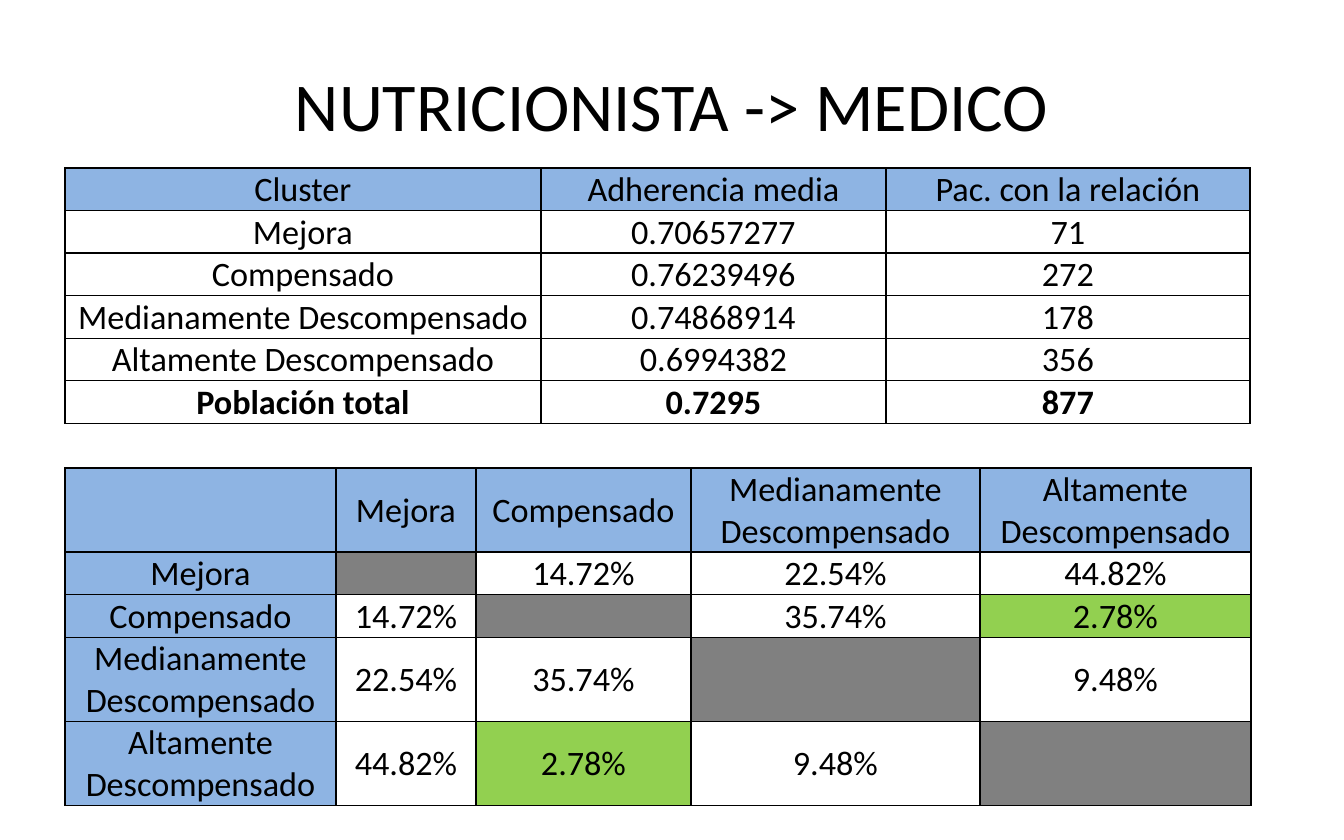
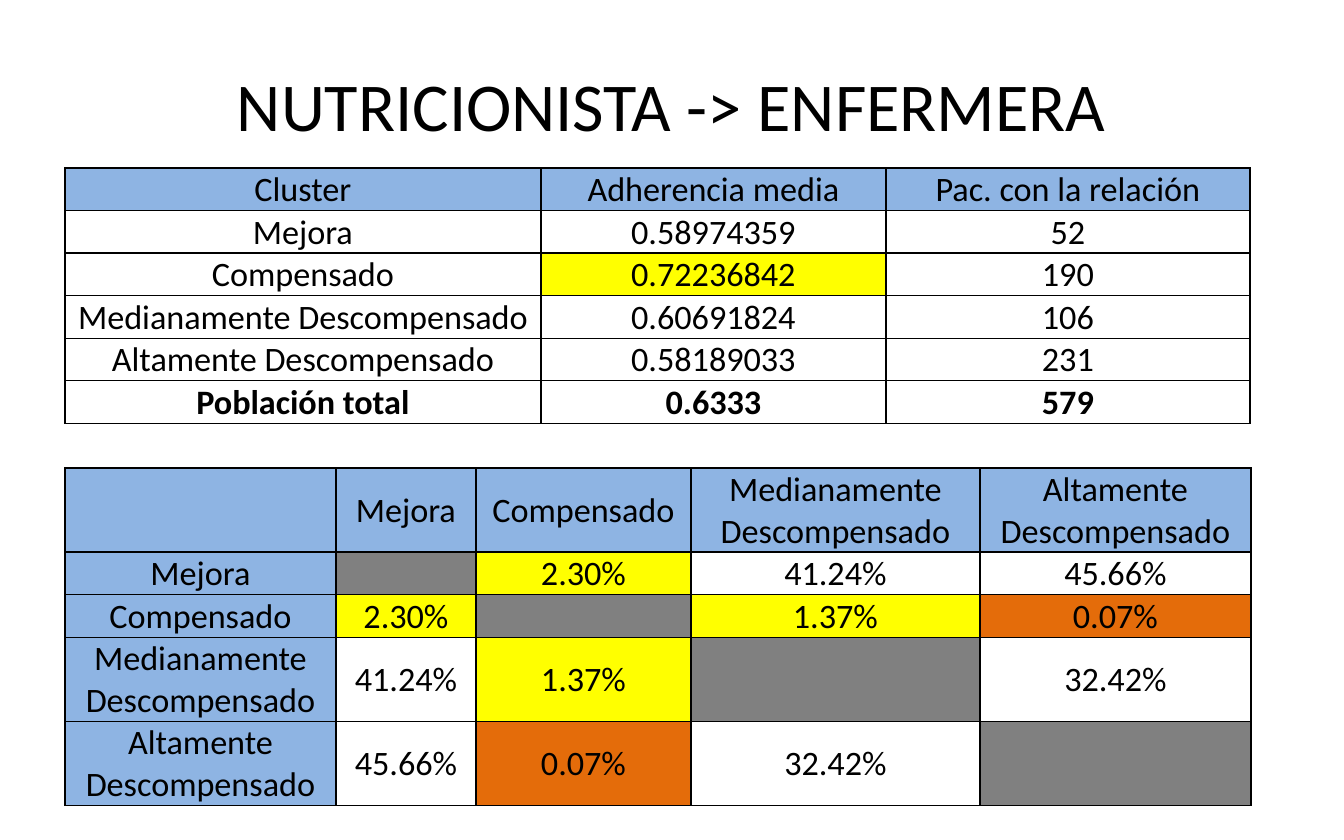
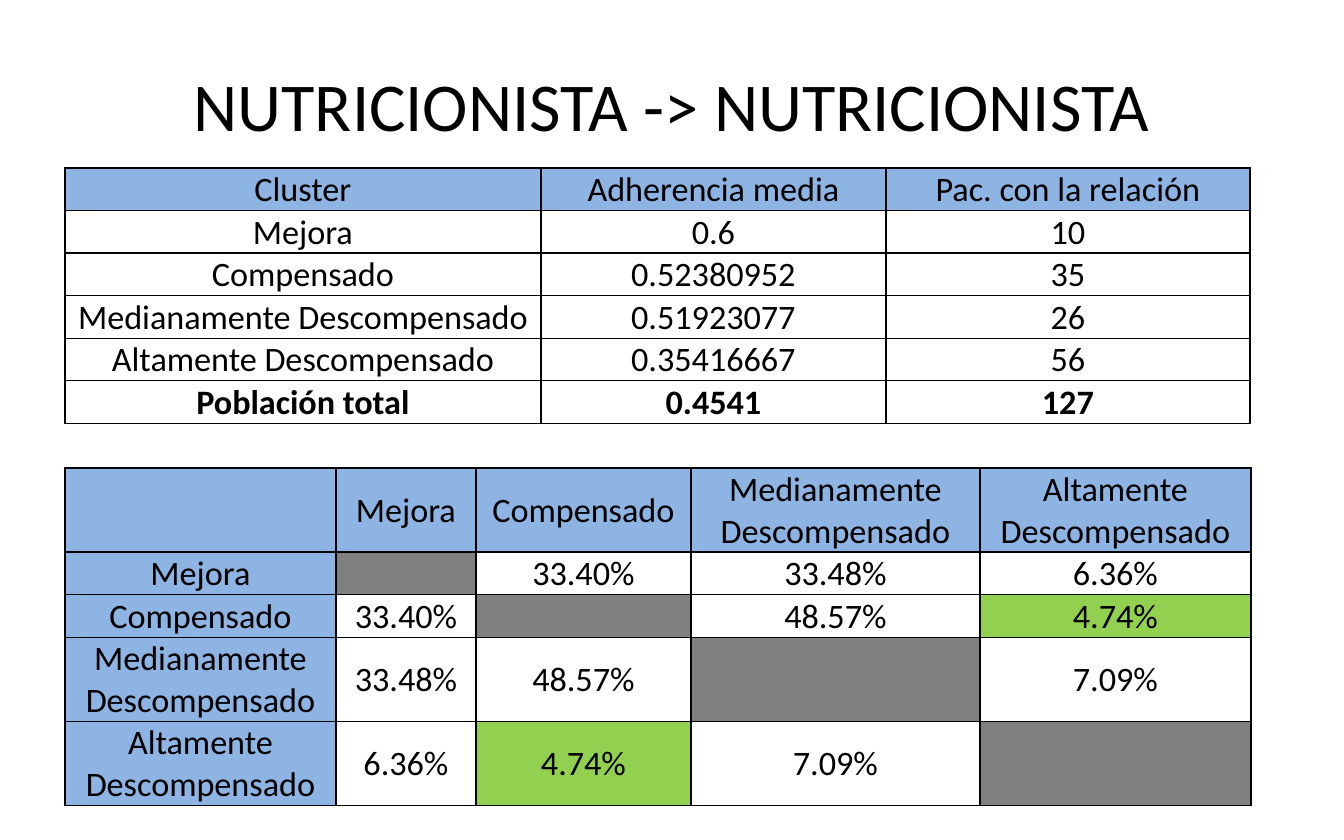
from itertools import combinations

from lxml import etree
from pptx import Presentation
from pptx.dml.color import RGBColor
from pptx.enum import text
from pptx.oxml import ns
from pptx.util import Inches, Pt

# Shared style
FONT = "Calibri"
BLACK = RGBColor(0x00, 0x00, 0x00)
WHITE = RGBColor(0xFF, 0xFF, 0xFF)
BLUE = RGBColor(0x8E, 0xB4, 0xE3)
GRAY = RGBColor(0x80, 0x80, 0x80)
GREEN = RGBColor(0x92, 0xD0, 0x50)
YELLOW = RGBColor(0xFF, 0xFF, 0x00)
ORANGE = RGBColor(0xE4, 0x6C, 0x0A)

TABLE_LEFT = 0.58
LINE, TWO_LINES = 0.38, 0.75
SUMMARY_COLUMNS = [4.25, 3.08, 3.25]
SUMMARY_ROWS = [LINE] * 6
MATRIX_COLUMNS = [2.42, 1.25, 1.92, 2.58, 2.42]
MATRIX_ROWS = [TWO_LINES, LINE, LINE, TWO_LINES, TWO_LINES]

# Shared wording
SUMMARY_HEADER = ["Cluster", "Adherencia media", "Pac. con la relación"]
CLUSTERS = ["Mejora", "Compensado", "Medianamente Descompensado",
            "Altamente Descompensado"]
SUMMARY_LABELS = CLUSTERS + ["Población total"]

# Percentages run over the cluster pairs in order; highlights map a value to its fill
RELATIONS = [
    {
        "target": "MEDICO",
        "adherence": ["0.70657277", "0.76239496", "0.74868914", "0.6994382", "0.7295"],
        "patients": ["71", "272", "178", "356", "877"],
        "percentages": ["14.72%", "22.54%", "44.82%", "35.74%", "2.78%", "9.48%"],
        "highlights": {"2.78%": GREEN},
    },
    {
        "target": "ENFERMERA",
        "adherence": ["0.58974359", "0.72236842", "0.60691824", "0.58189033", "0.6333"],
        "patients": ["52", "190", "106", "231", "579"],
        "percentages": ["2.30%", "41.24%", "45.66%", "1.37%", "0.07%", "32.42%"],
        "highlights": {"0.72236842": YELLOW, "2.30%": YELLOW, "1.37%": YELLOW,
                       "0.07%": ORANGE},
    },
    {
        "target": "NUTRICIONISTA",
        "adherence": ["0.6", "0.52380952", "0.51923077", "0.35416667", "0.4541"],
        "patients": ["10", "35", "26", "56", "127"],
        "percentages": ["33.40%", "33.48%", "6.36%", "48.57%", "4.74%", "7.09%"],
        "highlights": {"4.74%": GREEN},
    },
]


def add_span(para, wording, size, bold=False):
    para.alignment = text.PP_ALIGN.CENTER
    span = para.add_run()
    span.text = wording
    span.font.name = FONT
    span.font.size = Pt(size)
    span.font.bold = bold
    span.font.color.rgb = BLACK


def add_grid(page, top, widths, heights, wording, fills, bold_row=None):
    frame = page.shapes.add_table(
        len(heights), len(widths), Inches(TABLE_LEFT), Inches(top),
        Inches(sum(widths)), Inches(sum(heights)))
    table = frame.table
    for column, width in zip(table.columns, widths):
        column.width = Inches(width)
    for row, height in zip(table.rows, heights):
        row.height = Inches(height)
    for r, line in enumerate(wording):
        for c, content in enumerate(line):
            cell = table.cell(r, c)
            cell.margin_left = cell.margin_right = cell.margin_top = Inches(0.01)
            cell.margin_bottom = 0
            cell.vertical_anchor = text.MSO_ANCHOR.MIDDLE
            if content:
                add_span(cell.text_frame.paragraphs[0], content, 22, r == bold_row)
            # Borders come before the fill in the cell properties
            properties = cell._tc.get_or_add_tcPr()
            for side in ("a:lnL", "a:lnR", "a:lnT", "a:lnB"):
                border = etree.SubElement(properties, ns.qn(side), w=str(Pt(1)))
                solid = etree.SubElement(border, ns.qn("a:solidFill"))
                etree.SubElement(solid, ns.qn("a:srgbClr"), val=str(BLACK))
            cell.fill.solid()
            cell.fill.fore_color.rgb = fills[r][c]


deck = Presentation()
deck.slide_width, deck.slide_height = Inches(12), Inches(7.5)

for relation in RELATIONS:
    page = deck.slides.add_slide(deck.slide_layouts[6])
    highlights = relation["highlights"]

    # Title
    box = page.shapes.add_textbox(Inches(0.6), Inches(0.3), Inches(10.8), Inches(1.25))
    box.text_frame.word_wrap = True
    box.text_frame.vertical_anchor = text.MSO_ANCHOR.MIDDLE
    add_span(box.text_frame.paragraphs[0], "NUTRICIONISTA -> " + relation["target"], 44)

    # Matrix of cluster pairs, mirrored across a gray diagonal
    size = len(CLUSTERS)
    matrix = [[""] + CLUSTERS] + [[name] + [""] * size for name in CLUSTERS]
    pairs = combinations(range(1, size + 1), 2)
    for (first, second), percentage in zip(pairs, relation["percentages"]):
        matrix[first][second] = matrix[second][first] = percentage
    fills = [[BLUE if r == 0 or c == 0 else GRAY if r == c
              else highlights.get(content, WHITE)
              for c, content in enumerate(line)] for r, line in enumerate(matrix)]
    add_grid(page, 4.18, MATRIX_COLUMNS, MATRIX_ROWS, matrix, fills)

    # Summary by cluster
    summary = [SUMMARY_HEADER] + list(
        zip(SUMMARY_LABELS, relation["adherence"], relation["patients"]))
    fills = [[BLUE if r == 0 else highlights.get(content, WHITE) for content in line]
             for r, line in enumerate(summary)]
    add_grid(page, 1.5, SUMMARY_COLUMNS, SUMMARY_ROWS, summary, fills, bold_row=5)

deck.save("out.pptx")
